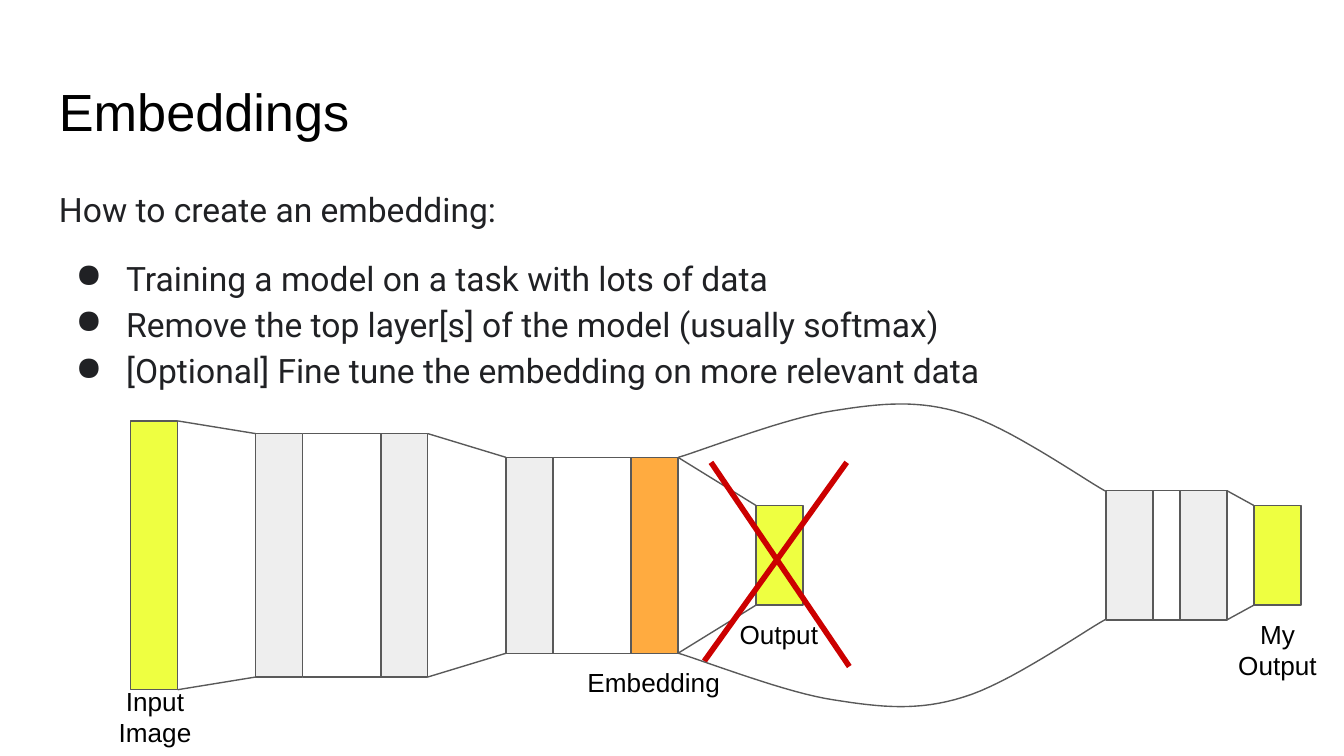
from itertools import pairwise
from lxml import etree
from pptx import Presentation
from pptx.dml.color import RGBColor
from pptx.enum.shapes import MSO_CONNECTOR as Link, MSO_SHAPE as Kind
from pptx.enum.text import PP_ALIGN as Align
from pptx.oxml.ns import qn
from pptx.util import Pt

GREY, LIME, AMBER = "EEEEEE", "EEFF41", "FFAB40"
EDGE, RED, INK = "595959", "CC0000", "202124"
WIDE, MID = 25.2, 297.5


def paint(color, tone):
    color.rgb = RGBColor.from_string(tone)


def write(box, text, size, font, tone, align=Align.LEFT):
    """Add a wrapped text box at (left, top, width, height) and return its frame."""
    frame = shapes.add_textbox(*map(Pt, box)).text_frame
    frame.word_wrap = True
    frame.margin_left = frame.margin_right = Pt(7.2)
    frame.margin_top = frame.margin_bottom = Pt(7.2)
    frame.text = text
    for para in frame.paragraphs:
        para.alignment = align
        for run in para.runs:
            run.font.size = Pt(size)
            run.font.name = font
            paint(run.font.color, tone)
    return frame


deck = Presentation()
deck.slide_width, deck.slide_height = Pt(720), Pt(405)
shapes = deck.slides.add_slide(deck.slide_layouts[6]).shapes

# Title and bullets
write((24.5, 35.3, 671, 45.4), "Embeddings", 28, "Arial", "000000")
steps = [
    "How to create an embedding:",
    "Training a model on a task with lots of data",
    "Remove the top layer[s] of the model (usually softmax)",
    "[Optional] Fine tune the embedding on more relevant data",
]
body = write((24.5, 90.7, 671, 269.3), "\n".join(steps), 18, "Roboto", INK)
for i, para in enumerate(body.paragraphs):
    para.line_spacing = 1.15
    para.space_before = Pt(12 if i < 2 else 0)
    if i:
        props = para._p.get_or_add_pPr()
        props.set("marL", str(Pt(36)))
        props.set("indent", str(Pt(-27)))
        tint = etree.SubElement(props, qn("a:buClr"))
        etree.SubElement(tint, qn("a:srgbClr")).set("val", INK)
        etree.SubElement(props, qn("a:buChar")).set("char", "●")

# Layers of the trained model and of the new head: left, step, (height, fill)
nets = [
    (70, 67, [(144, LIME), (130.4, GREY), (130.4, GREY),
              (105, GREY), (105, AMBER), (53.4, LIME)]),
    (592.5, 39.6, [(69.2, GREY), (69.2, GREY), (53.4, LIME)]),
]
lines = []
for left, step, stack in nets:
    for i, (high, tone) in enumerate(stack):
        box = left + i * step, MID - high / 2, WIDE, high
        layer = shapes.add_shape(Kind.RECTANGLE, *map(Pt, box))
        layer.shadow.inherit = False
        layer.fill.solid()
        paint(layer.fill.fore_color, tone)
        paint(layer.line.color, EDGE)
        layer.line.width = Pt(0.75)
    for i, ((high, _), (low, _)) in enumerate(pairwise(stack)):
        start, end = left + i * step + WIDE, left + (i + 1) * step
        for side in (-0.5, 0.5):
            ends = start, MID + side * high, end, MID + side * low
            lines.append((ends, EDGE, 0.75))

# Cross over the removed output
lines += [((453.6, 247.7, 377.3, 354.2), RED, 3),
          ((380.9, 247.7, 455, 357.1), RED, 3)]
for ends, tone, thick in lines:
    line = shapes.add_connector(Link.STRAIGHT, *map(Pt, ends))
    paint(line.line.color, tone)
    line.line.width = Pt(thick)
    etree.SubElement(line._element.spPr, qn("a:effectLst"))

# Labels
labels = [
    ("Input\nImage", (55.4, 360, 55.4, 41.3)),
    ("Embedding", (307.4, 350, 85.7, 30.2)),
    ("Output", (374.4, 324, 85.7, 30.2)),
    ("My Output", (647.3, 324, 74.2, 46.8)),
]
for text, box in labels:
    write(box, text, 14, "Arial", "000000", Align.CENTER)

# Curves from the embedding to the new head: Bezier knots, mirrored about MID
knots = [(363.5, 350), (377, 354), (422, 371.5), (447, 375), (472, 379),
         (492, 381), (516, 373.5), (540, 366.5), (579.5, 339), (592, 332)]
for side in (1, -1):
    dots = []
    for k in (0, 3, 6):
        for t in (n / 16 for n in range(17)):
            parts = (1 - t) ** 3, 3 * t * (1 - t) ** 2, 3 * t * t * (1 - t), t ** 3
            x, y = (sum(p * v for p, v in zip(parts, axis))
                    for axis in zip(*knots[k:k + 4]))
            dots.append((Pt(x), Pt(MID + side * (y - MID))))
    pen = shapes.build_freeform(*dots[0])
    pen.add_line_segments(dots[1:], close=False)
    curve = pen.convert_to_shape()
    curve.shadow.inherit = False
    curve.fill.background()
    paint(curve.line.color, EDGE)
    curve.line.width = Pt(0.75)

deck.save("out.pptx")
